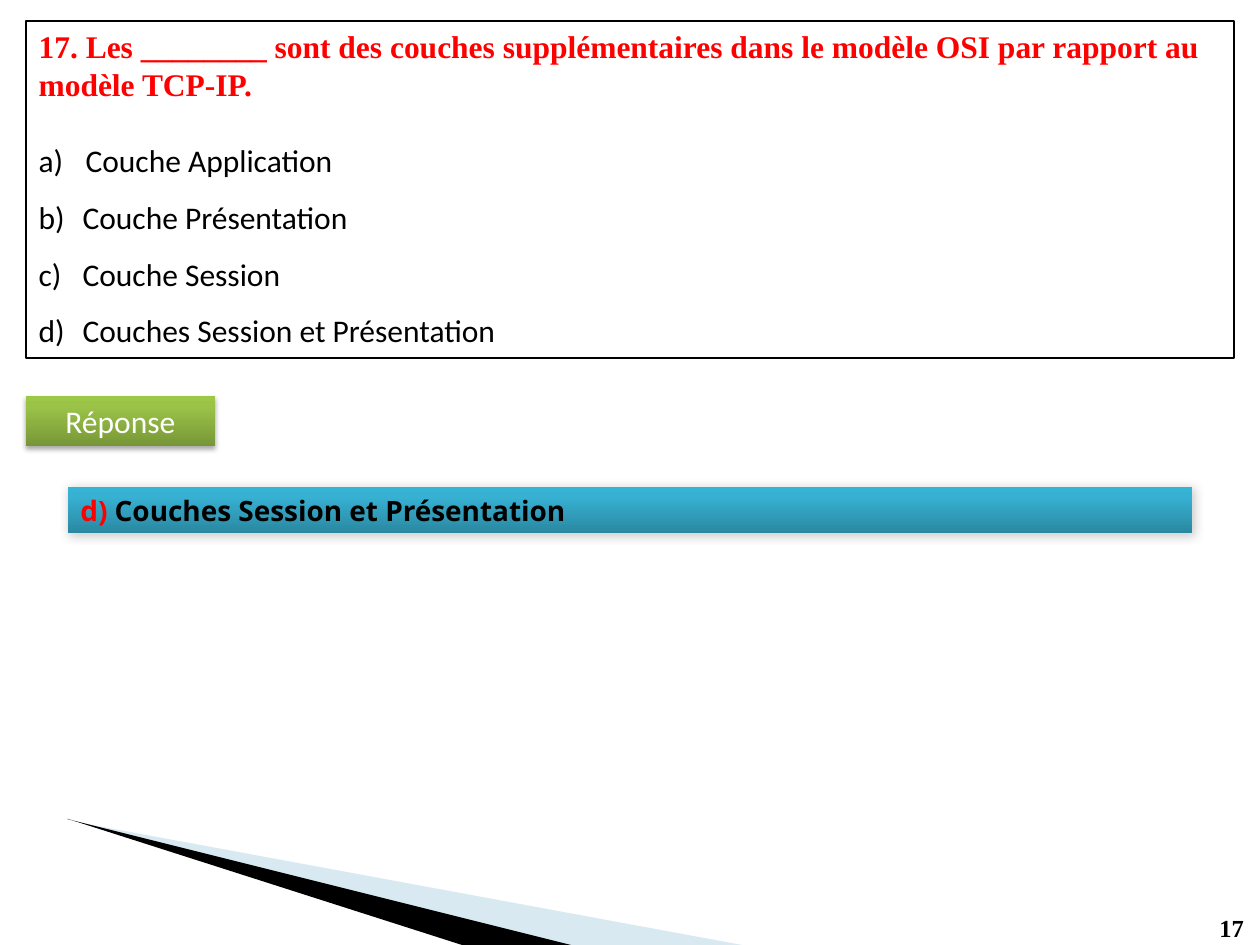
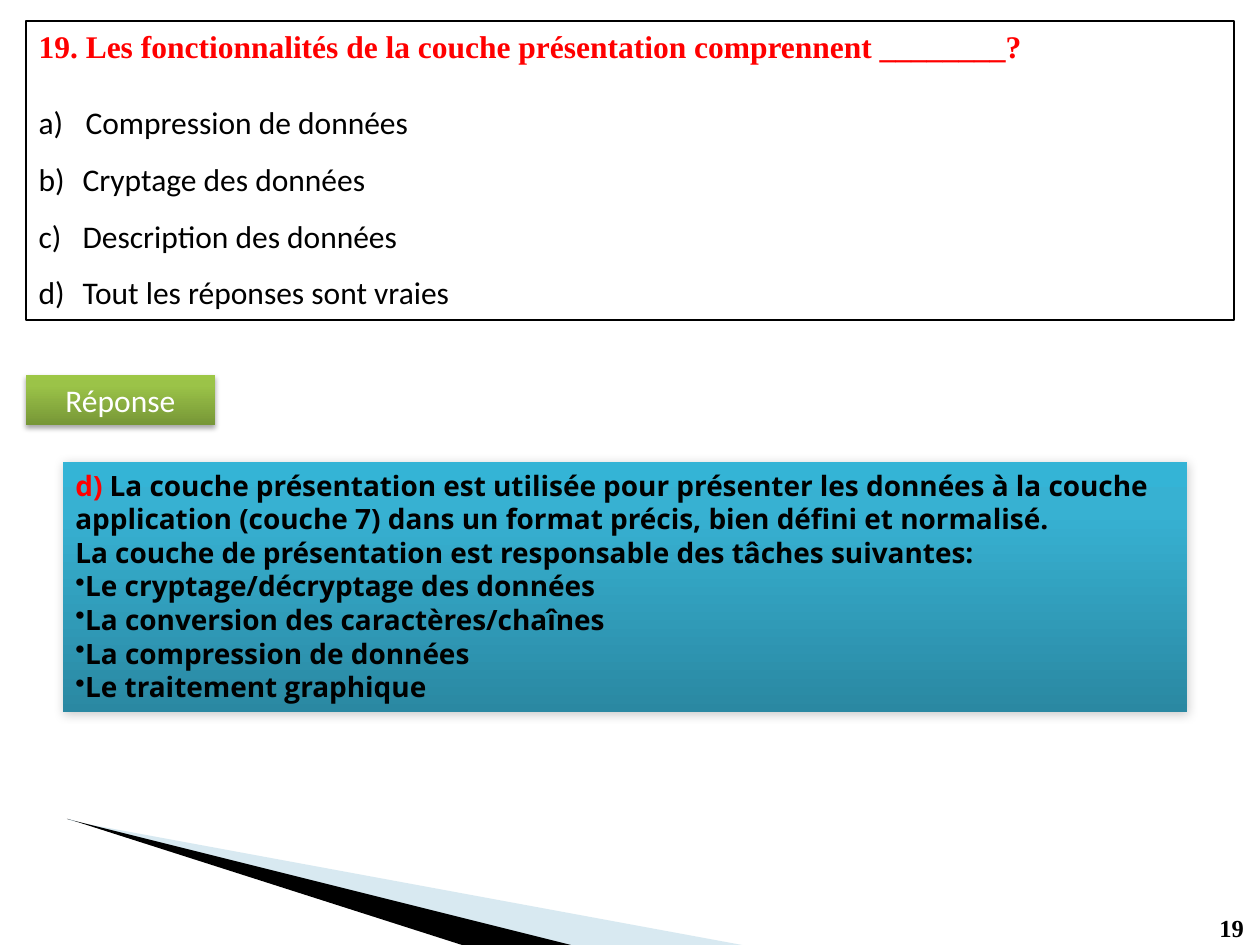
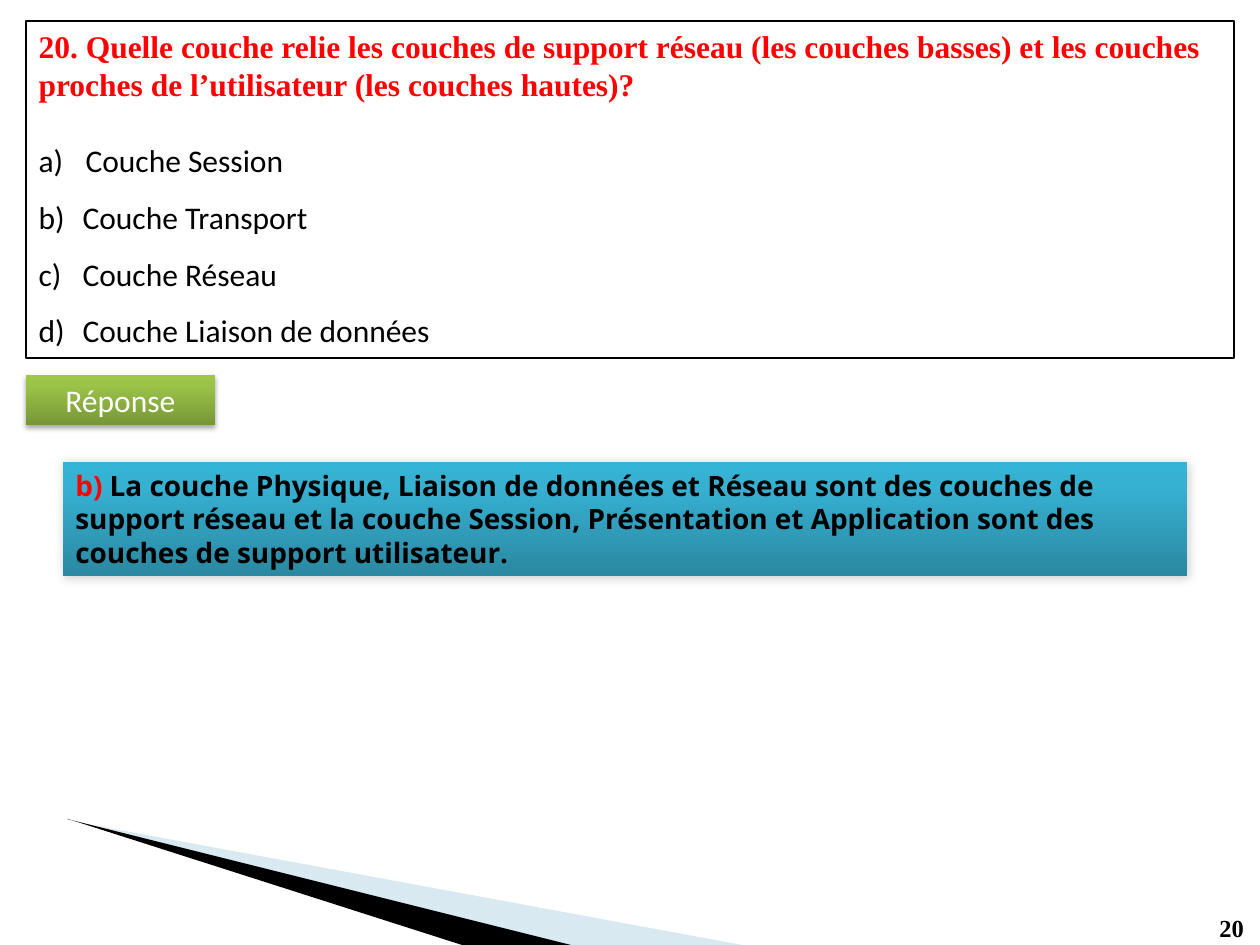
from dataclasses import dataclass

from lxml.etree import SubElement
from pptx import Presentation
from pptx.dml.color import RGBColor as RGB
from pptx.enum.shapes import MSO_SHAPE as Shape
from pptx.enum.text import MSO_ANCHOR as Anchor, MSO_AUTO_SIZE as AutoSize, PP_ALIGN as Align
from pptx.oxml.ns import qn
from pptx.util import Emu, Pt


@dataclass(frozen=True)
class Theme:
    black: str = "000000"
    white: str = "FFFFFF"
    red: str = "FF0000"
    pale: str = "9FCADC"
    green: tuple = ((0, "779737"), (80, "9BC348"), (100, "9DC746"))
    blue: tuple = ((0, "2A88A2"), (80, "37B1D2"), (100, "34B4D6"))
    label_shadow: tuple = (35, 3.1, 1.8, 90)
    answer_shadow: tuple = (20, 6, 1, 45)
    serif: str = "Times New Roman"
    sans: str = "Calibri"
    answer_font: str = "Open Sans"
    body_size: int = 18
    answer_size: int = 16
    number_size: int = 14
    question_line: float = 21.7
    option_spacing: float = 1.5


T = Theme()
TITLE_ONLY = 5
WIDTH, HEIGHT = 1260, 945
QUESTION_LEFT, QUESTION_TOP, QUESTION_WIDTH = 26, 21, 1208
LABEL_SIZE = 189, 50
ANSWER_WIDTH = 1124
NUMBER_BOX = 1207, 907, 50, 43

SLIDES = [
    dict(
        number="17",
        question="17. Les ________ sont des couches supplémentaires dans le modèle OSI "
                 "par rapport au modèle TCP-IP.",
        options=["Couche Application", "Couche Présentation", "Couche Session",
                 "Couches Session et Présentation"],
        question_height=337, label_top=396, answer_box=(68, 487, ANSWER_WIDTH, 46),
        key="d) ", answer=["Couches Session et Présentation"], bullets=[],
        align=Align.JUSTIFY,
    ),
    dict(
        number="19",
        question="19. Les fonctionnalités de la couche présentation comprennent ________?",
        options=["Compression de données", "Cryptage des données",
                 "Description des données", "Tout les réponses sont vraies"],
        question_height=299, label_top=375, answer_box=(63, 462, ANSWER_WIDTH, 250),
        key="d) ",
        answer=["La couche présentation est utilisée pour présenter les données à la "
                "couche application (couche 7) dans un format précis, bien défini et "
                "normalisé.",
                "La couche de présentation est responsable des tâches suivantes:"],
        bullets=["Le cryptage/décryptage des données",
                 "La conversion des caractères/chaînes",
                 "La compression de données", "Le traitement graphique"],
        align=Align.LEFT,
    ),
    dict(
        number="20",
        question="20. Quelle couche relie les couches de support réseau (les couches "
                 "basses) et les couches proches de l’utilisateur (les couches hautes)?",
        options=["Couche Session", "Couche Transport", "Couche Réseau",
                 "Couche Liaison de données"],
        question_height=337, label_top=375, answer_box=(63, 462, ANSWER_WIDTH, 114),
        key="b) ",
        answer=["La couche Physique, Liaison de données et Réseau sont des couches de "
                "support réseau et la couche Session, Présentation et Application sont "
                "des couches de support utilisateur."],
        bullets=[], align=Align.LEFT,
    ),
]


def px(n):
    return Emu(round(n * 914400 / 126))


def add_run(p, text, font, size, color, bold=False):
    r = p.add_run()
    r.text = text
    r.font.name = font
    r.font.size = Pt(size)
    r.font.bold = bold
    r.font.color.rgb = RGB.from_string(color)


def next_paragraph(tf, align=Align.LEFT):
    first = tf.paragraphs[0]
    p = tf.add_paragraph() if first.runs else first
    p.alignment = align
    return p


def set_bullet(p, tag, margin=0, **attrs):
    pPr = p._p.get_or_add_pPr()
    pPr.set("marL", str(px(margin)))
    pPr.set("indent", str(-px(margin)))
    SubElement(pPr, qn(tag), **attrs)


def set_frame(sp, anchor=Anchor.TOP):
    tf = sp.text_frame
    tf.word_wrap = True
    tf.auto_size = AutoSize.NONE
    tf.vertical_anchor = anchor
    return tf


def add_panel(s, box, stops, shadow):
    sp = s.shapes.add_shape(Shape.RECTANGLE, *map(px, box))
    sp.line.fill.background()
    sp.fill.gradient()
    sp.fill.gradient_angle = 90
    gs_list = next(sp.element.iter(qn("a:gsLst")))
    for stop in list(gs_list):
        gs_list.remove(stop)
    for position, color in stops:
        stop = SubElement(gs_list, qn("a:gs"), pos=str(position * 1000))
        SubElement(stop, qn("a:srgbClr"), val=color)
    sp.shadow.inherit = False
    alpha, blur, distance, angle = shadow
    effects = next(sp.element.iter(qn("a:effectLst")))
    outer = SubElement(effects, qn("a:outerShdw"), blurRad=str(Pt(blur)),
                       dist=str(Pt(distance)), dir=str(angle * 60000), rotWithShape="0")
    color = SubElement(outer, qn("a:srgbClr"), val=T.black)
    SubElement(color, qn("a:alpha"), val=str(alpha * 1000))
    return sp


def add_wedge(s, outlines, color, opacity=100):
    (start, *points), *others = outlines
    builder = s.shapes.build_freeform(*start, scale=914400 / 126)
    builder.add_line_segments(points, close=True)
    for (x, y), *rest in others:
        builder.move_to(x, y)
        builder.add_line_segments(rest, close=True)
    sp = builder.convert_to_shape()
    sp.fill.solid()
    sp.fill.fore_color.rgb = RGB.from_string(color)
    sp.line.fill.background()
    sp.shadow.inherit = False
    if opacity < 100:
        fill = next(sp.element.iter(qn("a:srgbClr")))
        SubElement(fill, qn("a:alpha"), val=str(opacity * 1000))
    return sp


def move_wedges_to_layout(s):
    pale = [[(81, 823), (568, HEIGHT), (742, HEIGHT)], [(69, 819), (69, 820), (81, 823)]]
    dark = [[(67, 819), (68, 819), (462, HEIGHT), (571, HEIGHT)]]
    for sp in (add_wedge(s, pale, T.pale, 40), add_wedge(s, dark, T.black)):
        s.slide_layout.shapes.element.append(sp.element)


def add_number(s, box, number):
    sp = s.shapes.add_textbox(*map(px, box))
    tf = sp.text_frame
    tf.word_wrap = False
    add_run(next_paragraph(tf), number, T.serif, T.number_size, T.black, True)


def fill_question(s, box, question, options):
    sp = s.shapes.title
    sp.left, sp.top, sp.width, sp.height = map(px, box)
    sp.line.color.rgb = RGB.from_string(T.black)
    sp.line.width = Pt(0.75)
    tf = set_frame(sp)
    p = next_paragraph(tf)
    p.line_spacing = Pt(T.question_line)
    p.space_after = Pt(T.question_line)
    add_run(p, question, T.serif, T.body_size, T.red, True)
    for i, option in enumerate(options):
        p = next_paragraph(tf)
        if i:
            p.line_spacing = T.option_spacing
        set_bullet(p, "a:buAutoNum", 44 if i else 47, type="alphaLcParenR")
        add_run(p, option, T.sans, T.body_size, T.black)


def add_label(s, box):
    sp = add_panel(s, box, T.green, T.label_shadow)
    tf = set_frame(sp, Anchor.MIDDLE)
    add_run(next_paragraph(tf, Align.CENTER), "Réponse", T.sans, T.body_size, T.white)


def add_answer(s, box, key, answer, bullets, align):
    tf = set_frame(add_panel(s, box, T.blue, T.answer_shadow))
    for i, text in enumerate(answer + bullets):
        p = next_paragraph(tf, align)
        if i == 0:
            add_run(p, key, T.answer_font, T.answer_size, T.red, True)
        if i >= len(answer):
            set_bullet(p, "a:buChar", char="•")
        add_run(p, text, T.answer_font, T.answer_size, T.black, True)


def build_quiz_slide(s, quiz):
    add_number(s, NUMBER_BOX, quiz["number"])
    question_box = QUESTION_LEFT, QUESTION_TOP, QUESTION_WIDTH, quiz["question_height"]
    fill_question(s, question_box, quiz["question"], quiz["options"])
    add_label(s, (QUESTION_LEFT, quiz["label_top"], *LABEL_SIZE))
    add_answer(s, quiz["answer_box"], quiz["key"], quiz["answer"], quiz["bullets"],
               quiz["align"])


def main():
    prs = Presentation()
    prs.slide_width, prs.slide_height = px(WIDTH), px(HEIGHT)
    layout = prs.slide_layouts[TITLE_ONLY]
    for quiz in SLIDES:
        build_quiz_slide(prs.slides.add_slide(layout), quiz)
    move_wedges_to_layout(prs.slides[0])
    prs.save("out.pptx")


if __name__ == "__main__":
    main()
